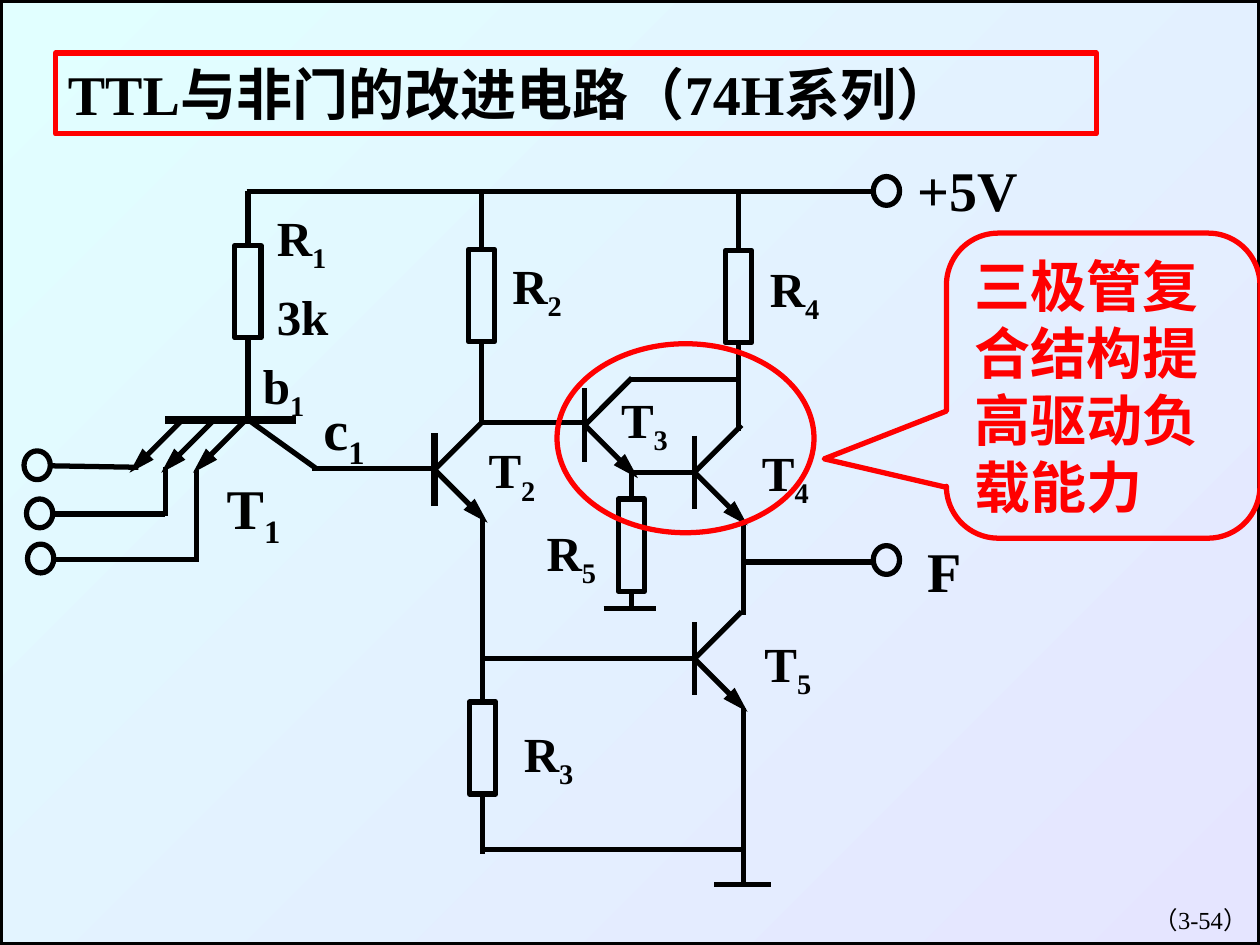
from lxml import etree
from pptx import Presentation
from pptx.dml.color import RGBColor
from pptx.enum.shapes import MSO_CONNECTOR, MSO_SHAPE
from pptx.enum.text import MSO_ANCHOR, MSO_AUTO_SIZE, PP_ALIGN
from pptx.oxml.ns import qn
from pptx.util import Cm, Pt

RECT, OVAL = MSO_SHAPE.RECTANGLE, MSO_SHAPE.OVAL
CALLOUT = MSO_SHAPE.ROUNDED_RECTANGULAR_CALLOUT
STRAIGHT = MSO_CONNECTOR.STRAIGHT
LEFT, RIGHT = PP_ALIGN.LEFT, PP_ALIGN.RIGHT
FONT, BLACK, RED = "Times New Roman", "000000", "FF0000"
RES_W, RES_H = 0.53, 1.86
TERM_W, TERM_H = 0.53, 0.58


def color(value):
    return RGBColor.from_string(value)


def outline(s, kind, x, y, w, h, line=BLACK):
    """Unfilled shape with a 3 pt line."""
    sp = s.shapes.add_shape(kind, Cm(x), Cm(y), Cm(w), Cm(h))
    sp.shadow.inherit = False
    sp.fill.background()
    sp.line.color.rgb = color(line)
    sp.line.width = Pt(3)
    return sp


def wire(s, x1, y1, x2, y2, width=3, arrow=False):
    c = s.shapes.add_connector(STRAIGHT, Cm(x1), Cm(y1), Cm(x2), Cm(y2))
    c.line.color.rgb = color(BLACK)
    c.line.width = Pt(width)
    if arrow:
        etree.SubElement(c.line._get_or_add_ln(), qn("a:tailEnd"),
                         type="triangle", w="med", len="lg")
    etree.SubElement(c._element.spPr, qn("a:effectLst"))


def style(p, size, bold=True, fill=BLACK, align=LEFT):
    p.alignment = align
    p.font.name = FONT
    p.font.size = Pt(size)
    p.font.bold = bold
    p.font.color.rgb = color(fill)


def text(s, x, y, w, h, value, size, sub="", **kw):
    """Text box, with an optional subscript after the value."""
    sp = s.shapes.add_textbox(Cm(x), Cm(y), Cm(w), Cm(h))
    tf = sp.text_frame
    tf.word_wrap = True
    p = tf.paragraphs[0]
    style(p, size, **kw)
    p.add_run().text = value
    if sub:
        r = p.add_run()
        r.text = sub
        r.font._element.set("baseline", "-25000")
    return sp


def resistor(s, cx, top, lead_top, lead_bottom):
    wire(s, cx, lead_top, cx, top)
    outline(s, RECT, cx - RES_W / 2, top, RES_W, RES_H)
    wire(s, cx, top + RES_H, cx, lead_bottom)


def transistor(s, x, y, base_width=3):
    """Base bar centred on (x, y), emitter downwards, collector upwards."""
    wire(s, x, y - 0.74, x, y + 0.74, base_width)
    wire(s, x, y, x + 1.07, y + 1.07, arrow=True)
    wire(s, x, y, x + 0.95, y - 0.95)


def terminal(s, cx, cy):
    outline(s, OVAL, cx - TERM_W / 2, cy - TERM_H / 2, TERM_W, TERM_H)


def background(s, w, h):
    sp = outline(s, RECT, 0, 0, w, h)
    sp.fill.gradient()
    sp.fill.gradient_angle = 315
    for stop, value in zip(sp.fill.gradient_stops, ("E1FFFF", "E5E5FF")):
        stop.color.rgb = color(value)


def title(s, x, y, w, h):
    sp = text(s, x, y, w, h, "TTL与非门的改进电路（74H系列）", 32)
    sp.line.color.rgb = color(RED)
    sp.line.width = Pt(3)


def circuit(s, x, y):
    # Input transistor T1: base bar, three emitters, collector
    wire(s, x + 2.83, y + 4.96, x + 5.47, y + 4.96, 4.5)
    for i in range(3):
        ex = x + 3.18 + 0.64 * i
        wire(s, ex, y + 4.96, ex - 1.07, y + 6.03, arrow=True)
    wire(s, x + 4.5, y + 4.96, x + 5.88, y + 5.95)

    # T2 to T5
    for tx, ty, base in ((8.26, 5.97, 4.5), (11.29, 5.07, 3),
                         (13.5, 6.02, 3), (13.5, 9.78, 3)):
        transistor(s, x + tx, y + ty, base)

    # R1 to R5 with their leads
    for cx, top, start, end in ((4.5, 1.45, 0.35, 4.96),
                                (9.21, 1.53, 0.35, 5.01),
                                (9.23, 10.65, 6.94, 13.72),
                                (14.39, 1.55, 0.35, 5.19),
                                (12.23, 6.56, 5.97, 8.77)):
        resistor(s, x + cx, y + top, y + start, y + end)

    # Wires
    for x1, y1, x2, y2 in (
            (4.47, 0.36, 17.13, 0.36),       # supply rail
            (5.78, 5.95, 8.26, 5.95),        # T1 to T2
            (9.2, 5.01, 11.29, 5.01),        # T2 to T3
            (12.18, 4.15, 14.39, 4.15),      # T3 collector
            (12.18, 6.02, 13.5, 6.02),       # T3 to T4
            (9.23, 9.78, 13.5, 9.78),        # T2 to T5
            (14.49, 7.04, 14.49, 8.9),       # T4 to T5
            (14.49, 7.83, 17.13, 7.83),      # output
            (14.49, 10.77, 14.49, 14.33),    # T5 to ground
            (9.23, 13.63, 14.49, 13.63),     # R3 to ground
            (13.9, 14.33, 15.05, 14.33),     # ground bars
            (11.67, 8.77, 12.73, 8.77),
            (0.52, 5.89, 2.29, 5.92),        # inputs
            (2.83, 5.92, 2.83, 6.9),
            (0.57, 6.86, 2.83, 6.86),
            (3.46, 5.97, 3.46, 7.83),
            (0.62, 7.78, 3.46, 7.78)):
        wire(s, x + x1, y + y1, x + x2, y + y2)

    # Terminals: supply, output, inputs
    for cx, cy in ((17.37, 0.35), (17.37, 7.79),
                   (0.25, 5.88), (0.3, 6.85), (0.32, 7.76)):
        terminal(s, x + cx, y + cy)

    # Labels
    for value, sub, lx, ly, w, size in (
            ("+5V", "", 17.74, -0.48, 3.48, 32),
            ("F", "", 17.94, 7.19, 2.06, 32),
            ("R", "4", 14.77, 1.58, 2.92, 28),
            ("R", "2", 9.58, 1.53, 2.92, 28),
            ("R", "1", 4.83, 0.56, 2.92, 28),
            ("3k", "", 4.83, 2.16, 3.43, 28),
            ("T", "2", 9.1, 5.24, 1.7, 28),
            ("R", "5", 10.27, 6.91, 1.75, 28),
            ("R", "3", 9.81, 10.95, 2.87, 28),
            ("T", "3", 11.77, 4.22, 2.74, 28),
            ("T", "4", 14.61, 5.29, 1.85, 28),
            ("T", "1", 3.82, 5.92, 2, 32),
            ("T", "5", 14.66, 9.15, 1.85, 28),
            ("b", "1", 4.55, 3.54, 2.2, 28),
            ("c", "1", 5.77, 4.32, 2.8, 32)):
        h = size * 0.05 + (0.2 if sub else 0.03)
        text(s, x + lx, y + ly, w, h, value, size, sub)


def callout(s, x, y, w, h):
    sp = outline(s, CALLOUT, x, y, w, h, RED)
    for i, value in enumerate((-0.89, 0.24, 0.17)):
        sp.adjustments[i] = value
    tf = sp.text_frame
    tf.word_wrap = False
    tf.auto_size = MSO_AUTO_SIZE.NONE
    tf.vertical_anchor = MSO_ANCHOR.MIDDLE
    tf.text = "三极管复\n合结构提\n高驱动负\n载能力"
    for p in tf.paragraphs:
        style(p, 32, fill=RED)


def main():
    prs = Presentation()
    prs.slide_width, prs.slide_height = Cm(25.4), Cm(19.05)
    s = prs.slides.add_slide(prs.slide_layouts[6])
    background(s, 25.4, 19.05)
    text(s, 20.12, 18.11, 5.28, 1.27, "（3-54）", 14, bold=False, align=RIGHT)
    title(s, 1.12, 1.07, 20.98, 1.63)
    circuit(s, 0.5, 3.5)
    callout(s, 19.08, 4.7, 6.32, 6.15)
    # Ring around the compound pair T3 and T4
    outline(s, OVAL, 11.23, 6.93, 5.18, 3.81, RED)
    prs.save("out.pptx")


if __name__ == "__main__":
    main()
